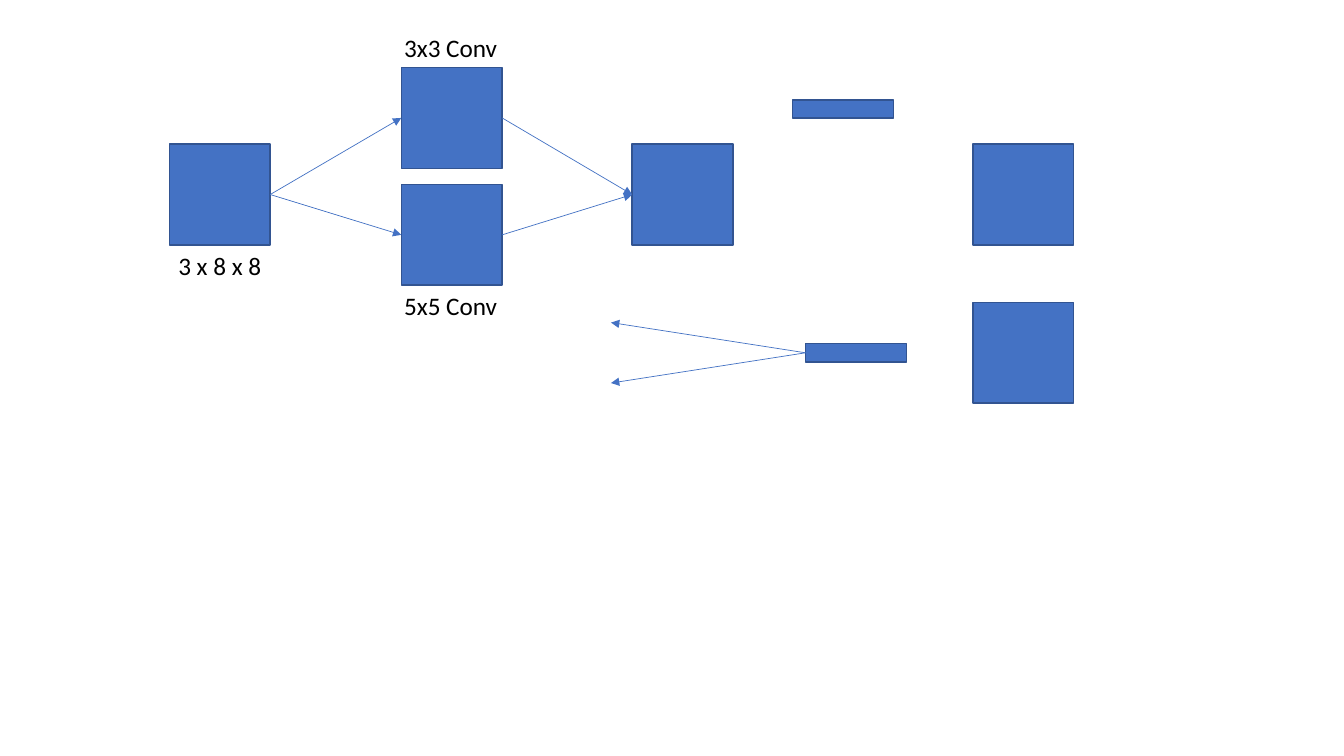
from dataclasses import dataclass

from lxml import etree
from pptx import Presentation, util as u
from pptx.dml.color import RGBColor
from pptx.enum import shapes, text
from pptx.oxml import ns


@dataclass(frozen=True)
class Theme:
    fill: RGBColor = RGBColor(0x44, 0x72, 0xC4)
    edge: RGBColor = RGBColor(0x32, 0x54, 0x91)
    ink: RGBColor = RGBColor(0, 0, 0)
    font: str = "Calibri"
    size: int = 18
    border: float = 1
    thin: float = 0.5


LEFT, RIGHT = 1, 3  # connection sites of a rectangle


class Board:
    def __init__(self, slide, theme):
        self.slide, self.theme = slide, theme

    def box(self, x, y, h=1):
        """Draw a block one inch wide."""
        box = self.slide.shapes.add_shape(
            shapes.MSO_SHAPE.RECTANGLE,
            u.Inches(x), u.Inches(y), u.Inches(1), u.Inches(h))
        box.shadow.inherit = False
        box.fill.solid()
        box.fill.fore_color.rgb = self.theme.fill
        box.line.color.rgb = self.theme.edge
        box.line.width = u.Pt(self.theme.border)
        return box

    def label(self, words, x, y, w):
        frame = self.slide.shapes.add_textbox(
            u.Inches(x), u.Inches(y), u.Inches(w), u.Inches(0.4)).text_frame
        frame.word_wrap = False
        frame.auto_size = text.MSO_AUTO_SIZE.SHAPE_TO_FIT_TEXT
        line = frame.paragraphs[0]
        line.text = words
        line.font.name = self.theme.font
        line.font.size = u.Pt(self.theme.size)
        line.font.color.rgb = self.theme.ink

    def arrow(self, start, site, end=None, tip=(0, 0)):
        """Lead from a side of start to the left of end, or to a free tip."""
        link = self.slide.shapes.add_connector(
            shapes.MSO_CONNECTOR.STRAIGHT, 0, 0,
            u.Inches(tip[0]), u.Inches(tip[1]))
        link.begin_connect(start, site)
        if end is not None:
            link.end_connect(end, LEFT)
        link.line.color.rgb = self.theme.fill
        link.line.width = u.Pt(self.theme.thin)
        etree.SubElement(link.line._get_or_add_ln(), ns.qn("a:tailEnd"),
                         type="triangle")
        etree.SubElement(link._element.spPr, ns.qn("a:effectLst"))


def main():
    deck = Presentation()
    deck.slide_width, deck.slide_height = u.Inches(13.33), u.Inches(7.5)
    board = Board(deck.slides.add_slide(deck.slide_layouts[6]), Theme())

    # Input and merged blocks
    source = board.box(1.68, 1.43)
    board.label("3 x 8 x 8", 1.67, 2.43, 1.03)
    merged = board.box(6.27, 1.43)

    # Two convolution branches
    for words, top, label_top in (("3x3 Conv", 0.67, 0.27),
                                  ("5x5 Conv", 1.83, 2.83)):
        conv = board.box(3.98, top)
        board.label(words, 3.91, label_top, 1.14)
        board.arrow(source, RIGHT, conv)
        board.arrow(conv, RIGHT, merged)

    # Blocks and flat bars on the right
    for top in (1.43, 3):
        board.box(9.65, top)
    board.box(7.86, 0.99, 0.18)
    bar = board.box(7.99, 3.41, 0.18)

    # Arrows fanning out from the lower bar
    for y in (3.2, 3.8):
        board.arrow(bar, LEFT, tip=(6.06, y))

    deck.save("out.pptx")


if __name__ == "__main__":
    main()
